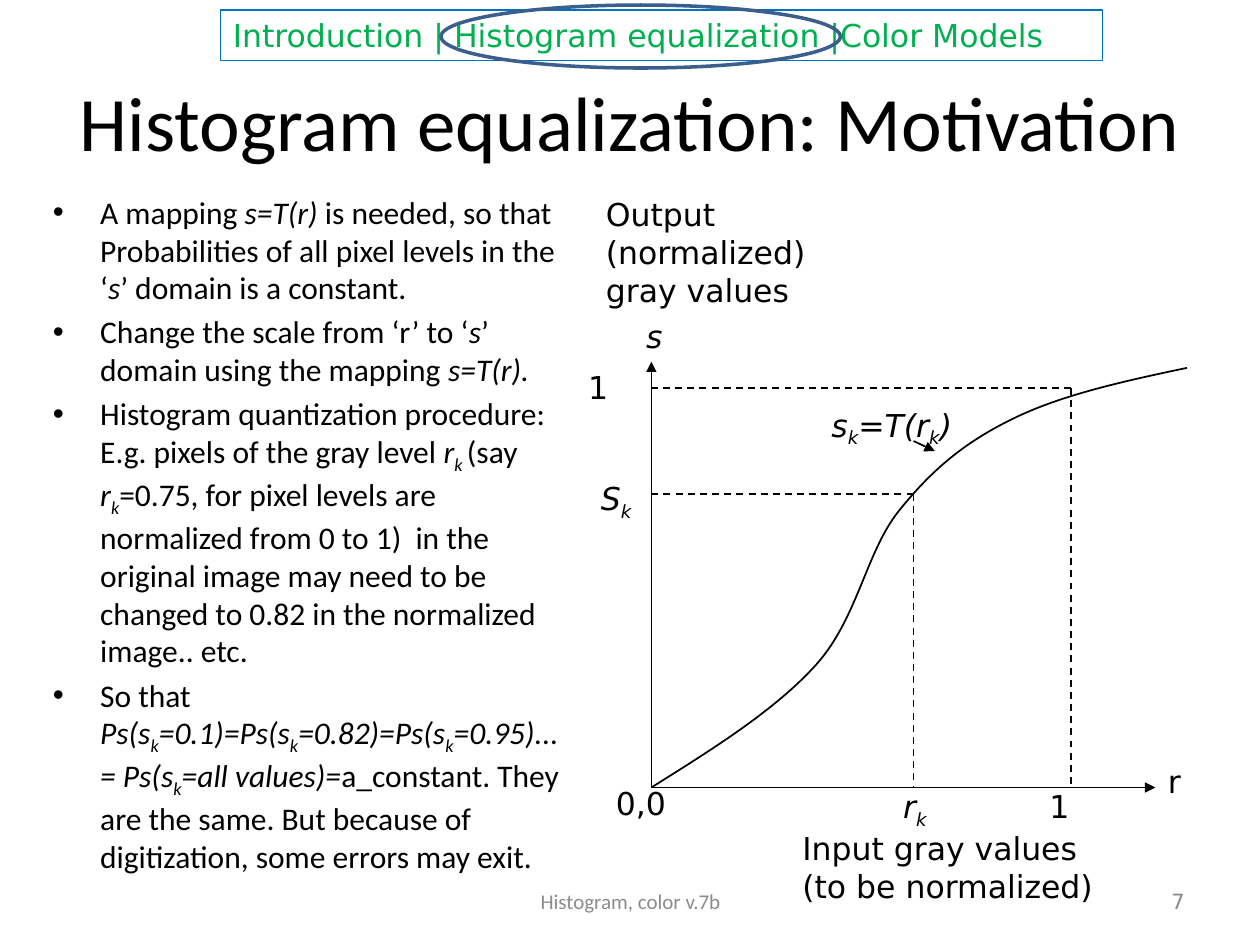
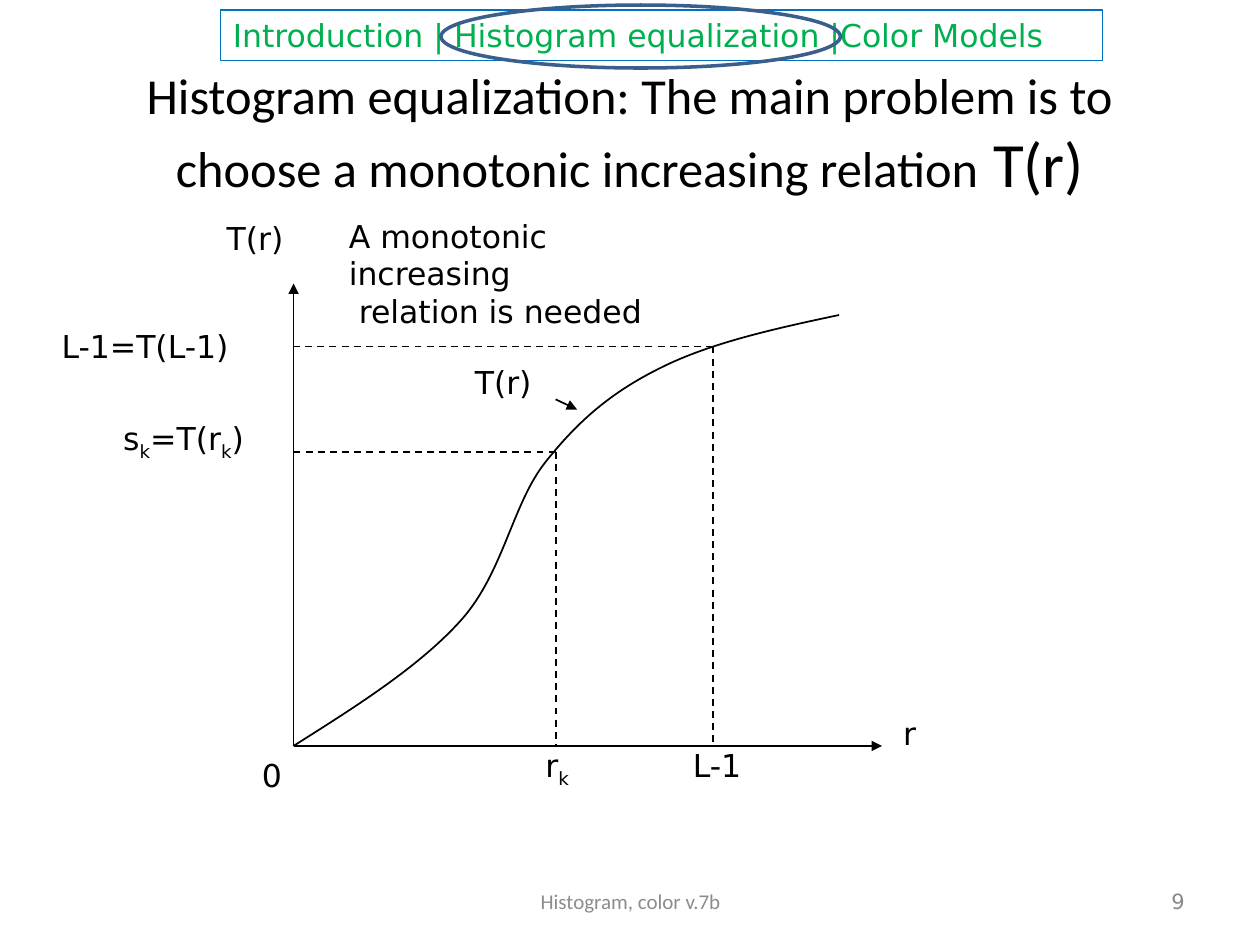
from pptx import Presentation
from pptx.dml.color import RGBColor
from pptx.enum.dml import MSO_LINE
from pptx.enum.shapes import MSO_CONNECTOR, MSO_SHAPE
from pptx.enum.text import MSO_ANCHOR, MSO_AUTO_SIZE, PP_ALIGN
from pptx.oxml.ns import qn
from pptx.util import Inches, Pt
from lxml.etree import SubElement

COLORS = {"ink": "000000", "band": "0070C0", "nav": "00B050",
          "ring": "3A5F8C", "foot": "8C8C8C", "page": "898989"}
SANS, LABEL = "Calibri", "DejaVu Sans"
SUB = ("k", "s")
ISUB = ("k", "is")

# Bezier points of T(r), in percent of the curve's width and height
CURVE = [(0, 0), (11.5, 9.2), (23.1, 18.4), (30.8, 29.3), (38.5, 40.3),
         (40.1, 56.2), (46.2, 65.9), (52.3, 75.6), (58.4, 82.2),
         (67.4, 87.8), (76.4, 93.5), (88.1, 96.8), (100, 100)]


def hue(name):
    return RGBColor.from_string(COLORS[name])


class Deck:
    """Holds the presentation, its style and the current slide."""

    def __init__(self):
        self.prs = Presentation()
        self.prs.slide_width, self.prs.slide_height = Inches(10), Inches(7.5)

    def start(self, layout, page):
        """Adds a slide with the navigation band and the footer."""
        self.slide = self.prs.slides.add_slide(self.prs.slide_layouts[layout])
        self.shapes = self.slide.shapes
        band = self.shape(MSO_SHAPE.RECTANGLE, (1.75, 0.08, 7, 0.4), "band", 0.75)
        self.fill(band.text_frame, [["Introduction | Histogram equalization |Color Models"]],
                  color="nav", align=PP_ALIGN.LEFT)
        self.text((3.42, 6.95, 3.17, 0.4), "Histogram, color v.7b", wrap=True, size=12,
                  font=SANS, color="foot", align=PP_ALIGN.CENTER, anchor=MSO_ANCHOR.MIDDLE)
        self.text((7.17, 6.95, 2.33, 0.4), page, wrap=True, size=12,
                  color="page", align=PP_ALIGN.RIGHT, anchor=MSO_ANCHOR.MIDDLE)

    def fill(self, frame, paras, size=18, font=LABEL, color="ink", align=None):
        """Writes paragraphs of runs: a string, or (string, flags) with
        i for italic, s for subscript, or a number for another size."""
        for n, runs in enumerate(paras):
            para = frame.add_paragraph() if n else frame.paragraphs[0]
            para.alignment = align
            for item in runs:
                words, flags = (item, "") if isinstance(item, str) else item
                run = para.add_run()
                run.text = words
                run.font.name = font
                run.font.size = Pt(int(flags) if flags.isdigit() else size)
                run.font.color.rgb = hue(color)
                if "i" in flags:
                    run.font.italic = True
                if "s" in flags:
                    run.font.element.set("baseline", "-25000") if hasattr(
                        run.font, "element") else run._r.get_or_add_rPr().set(
                        "baseline", "-25000")

    def text(self, box, *paras, wrap=False, anchor=MSO_ANCHOR.TOP, **style):
        frame = self.shapes.add_textbox(*map(Inches, box)).text_frame
        frame.word_wrap = wrap
        frame.vertical_anchor = anchor
        self.fill(frame, [[p] if isinstance(p, str) else p for p in paras], **style)

    def place(self, holder, box, paras, **style):
        """Moves a placeholder and writes into it."""
        holder.left, holder.top, holder.width, holder.height = map(Inches, box)
        holder.text_frame.auto_size = MSO_AUTO_SIZE.NONE
        self.fill(holder.text_frame, paras, font=SANS, **style)

    def title(self, top, runs, size):
        self.place(self.shapes.title, (0.5, top, 9, 1.25), [runs],
                   size=size, align=PP_ALIGN.CENTER)

    def body(self, box, paras):
        self.place(self.slide.placeholders[1], box, paras)

    def shape(self, kind, box, color, width):
        """Adds an outlined shape without fill."""
        shape = self.shapes.add_shape(kind, *map(Inches, box))
        shape.shadow.inherit = False
        shape.fill.background()
        shape.line.color.rgb = hue(color)
        shape.line.width = Pt(width)
        return shape

    def ring(self):
        self.shape(MSO_SHAPE.OVAL, (3.5, 0.04, 3.17, 0.5), "ring", 2)

    def line(self, start, end, dash=False, arrow=False):
        line = self.shapes.add_connector(MSO_CONNECTOR.STRAIGHT,
                                         *map(Inches, (*start, *end)))
        line.line.color.rgb = hue("ink")
        line.line.width = Pt(1)
        if dash:
            line.line.dash_style = MSO_LINE.DASH
        if arrow:
            SubElement(line.line._get_or_add_ln(), qn("a:tailEnd"), type="triangle")
        SubElement(line._element.spPr, qn("a:effectLst"))

    def curve(self, x, y, width, height):
        """Draws T(r) from its origin as a chain of cubic Beziers."""
        pts = [(Inches(x + width * u / 100), Inches(y - height * v / 100))
               for u, v in CURVE]
        pen = self.shapes.build_freeform(*pts[0])
        pen.add_line_segments(pts[1:], close=False)
        shape = pen.convert_to_shape()
        shape.shadow.inherit = False
        shape.fill.background()
        shape.line.color.rgb = hue("ink")
        shape.line.width = Pt(1)
        track = next(shape._element.iter(qn("a:path")))
        steps = track.findall(qn("a:lnTo"))
        for n in range(0, len(steps), 3):
            bend = SubElement(track, qn("a:cubicBezTo"))
            for step in steps[n:n + 3]:
                bend.append(step[0])
                track.remove(step)

    def graph(self, x, y, axes, size):
        """Draws axes, the curve and its dashed guides from origin x, y."""
        self.line((x, y), (x + axes[0], y), arrow=True)
        self.line((x, y), (x, y - axes[1]), arrow=True)
        self.curve(x, y, *size)
        for right, up in ((3.33, 3.17), (2.08, 2.33)):
            peak = (x + right, y - up)
            self.line(peak, (x + right, y), dash=True)
            self.line(peak, (x, y - up), dash=True)
        self.line((x + 2.08, y - 2.75), (x + 2.25, y - 2.67), arrow=True)


def motive(deck):
    deck.start(1, "7")
    deck.title(0.33, ["Histogram equalization: Motivation"], 44)
    deck.body((0.32, 1.48, 4.25, 4.95), [
        ["A mapping ", ("s=T(r) ", "i"),
         "is needed, so that Probabilities of all pixel levels in the ‘",
         ("s", "i"), "’ domain is a constant."],
        ["Change the scale from ‘r’ to ‘", ("s", "i"),
         "’ domain using the mapping ", ("s=T(r).", "i")],
        ["Histogram quantization procedure: E.g. pixels of the gray level ",
         ("r", "i"), ("k ", "is"), "(say ", ("r", "i"), ISUB,
         "=0.75, for pixel levels are normalized from 0 to 1)  in the original "
         "image may need to be changed to 0.82 in the normalized image.. etc."],
        ["So that ", ("Ps(s", "i"), ISUB, ("=0.1)=Ps(s", "i"), ISUB,
         ("=0.82)=Ps(s", "i"), ISUB, ("=0.95)...= Ps(s", "i"), ISUB,
         ("=all values)=", "i"),
         "a_constant. They are the same. But because of digitization, "
         "some errors may exit."]])
    deck.graph(5.17, 6.25, (4, 3.38), (4.25, 3.33))
    deck.text((4.67, 3.75, 0.47, 0.4), [("S", "i"), ISUB])
    deck.text((7.07, 6.2, 0.41, 0.4), [("r", "i"), ISUB])
    deck.text((4.57, 2.87, 0.36, 0.4), "1")
    deck.text((8.23, 6.2, 0.36, 0.4), "1")
    deck.text((9.17, 6, 0.31, 0.4), "r")
    deck.text((6.5, 3.17, 1.23, 0.4),
              [("s", "i"), ISUB, ("=T(r", "i"), ISUB, (")", "i")])
    deck.text((4.79, 6.17, 0.61, 0.4), "0,0")
    deck.text((5.03, 2.47, 0.33, 0.4), [("s", "i")])
    deck.text((6.27, 6.53, 2.57, 0.71), "Input gray values", "(to be normalized)")
    deck.text((4.71, 1.5, 1.95, 1.01), "Output (normalized) gray values", wrap=True)
    deck.ring()


def problem(deck):
    deck.start(5, "9")
    deck.title(0.42, ["Histogram equalization: The main problem is to choose a "
                      "monotonic increasing relation", (" T(r)", "36")], 28.8)
    deck.graph(2.33, 5.92, (4.67, 3.67), (4.33, 3.42))
    deck.text((2.67, 1.67, 3.1, 0.7), "A monotonic increasing",
              " relation is needed", wrap=True)
    deck.text((0.88, 3.28, 1.46, 0.61), ["s", SUB, "=T(r", SUB, ")"], wrap=True)
    deck.text((4.23, 5.87, 0.41, 0.4), ["r", SUB])
    deck.text((0.39, 2.55, 1.59, 0.4), "L-1=T(L-1)")
    deck.text((5.4, 5.87, 0.61, 0.4), "L-1")
    deck.text((7.07, 5.62, 0.31, 0.4), "r")
    deck.text((3.67, 2.83, 0.69, 0.4), "T(r)")
    deck.text((1.98, 5.95, 0.36, 0.4), "0")
    deck.text((1.7, 1.69, 0.69, 0.4), "T(r)")
    deck.ring()


def main():
    deck = Deck()
    motive(deck)
    problem(deck)
    deck.prs.save("out.pptx")


if __name__ == "__main__":
    main()
